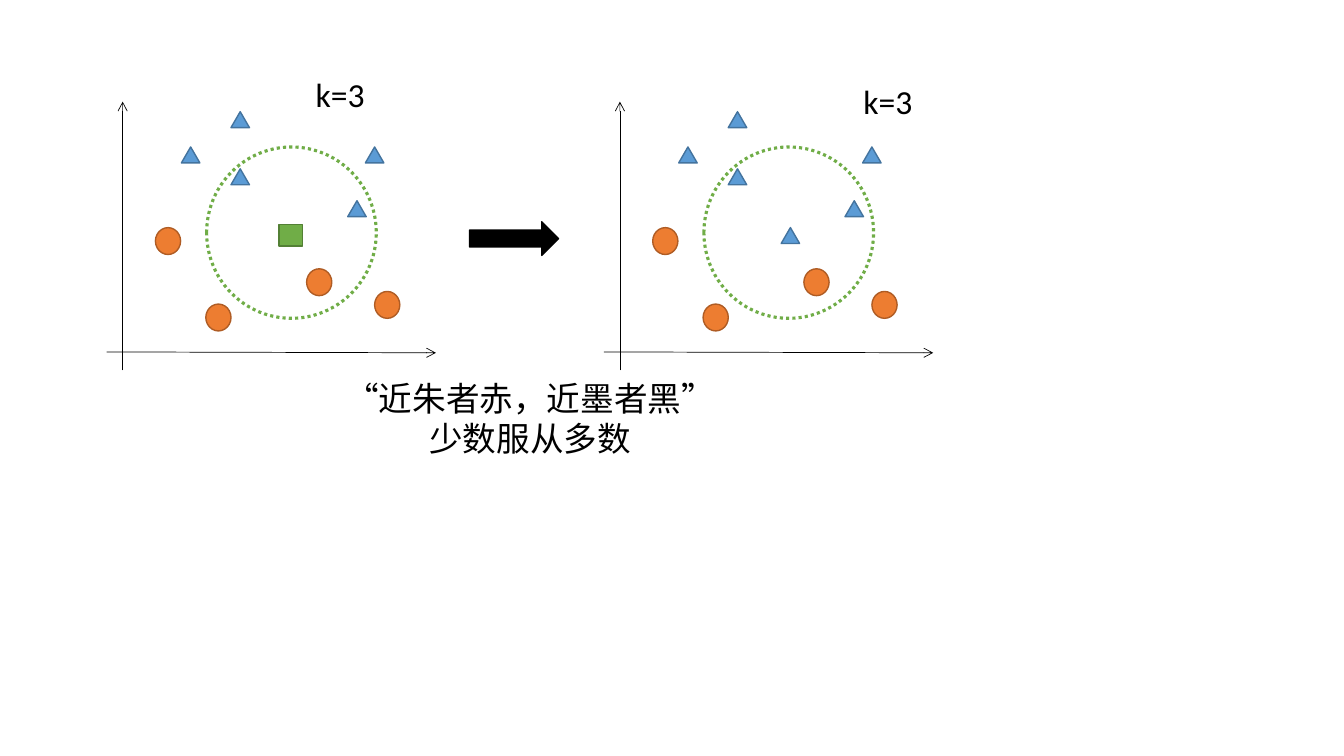
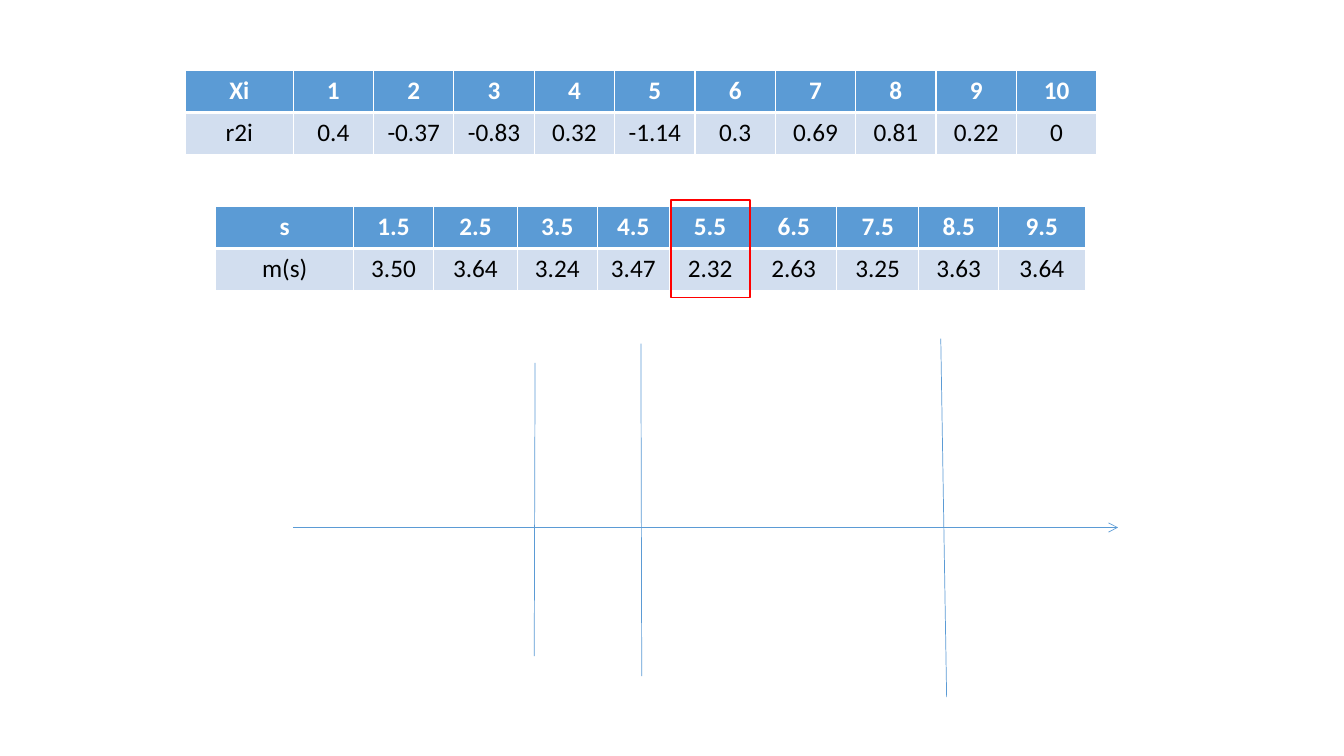
from typing import NamedTuple

from lxml import etree
from pptx import Presentation
from pptx import util as u
from pptx.dml.color import RGBColor
from pptx.enum import dml, shapes, text
from pptx.oxml import ns

# The slide is a grid of 160 columns and 90 rows; all lengths are in cells.
COLUMNS, ROWS = 160, 90
CELL = u.Inches(7.5) / ROWS

FONT = "Calibri"
WHITE, BLACK, RED = "FFFFFF", "000000", "FF0000"
BLUE, BLUE_EDGE, PALE_BLUE = "5B9BD5", "43739E", "D2DEEF"
ORANGE, ORANGE_EDGE = "ED7D31", "AF5C24"
GREEN, GREEN_EDGE = "70AD47", "538035"

PRESET = shapes.MSO_SHAPE


class Box(NamedTuple):
    left: float
    top: float
    width: float
    height: float


class Point(NamedTuple):
    x: float
    y: float


class Marker(NamedTuple):
    preset: shapes.MSO_SHAPE
    width: float
    height: float
    fill: str
    edge: str


class Segment(NamedTuple):
    start: Point
    end: Point


class Label(NamedTuple):
    box: Box
    lines: list[str]
    align: text.PP_ALIGN = text.PP_ALIGN.LEFT


class Grid(NamedTuple):
    origin: Point
    widths: list[float]
    rows: list[list[str]]


TRIANGLE = Marker(PRESET.ISOSCELES_TRIANGLE, 2.2, 1.9, BLUE, BLUE_EDGE)
CIRCLE = Marker(PRESET.OVAL, 3, 3.2, ORANGE, ORANGE_EDGE)
SQUARE = Marker(PRESET.RECTANGLE, 2.8, 2.6, GREEN, GREEN_EDGE)

# Positions inside a plot, from its top left corner.
NEIGHBOURHOOD = Box(11.9, 5.4, 20.2, 20.4)
PLOT_AXES = [
    Segment(Point(0, 29.8), Point(39.2, 29.9)),
    Segment(Point(1.9, 32), Point(1.9, 0)),
]
SAMPLES = {
    TRIANGLE: [Point(8.9, 5.4), Point(28.7, 11.8), Point(14.8, 1.2),
               Point(14.8, 8), Point(30.8, 5.4)],
    CIRCLE: [Point(5.8, 15), Point(11.8, 24.1), Point(23.8, 19.9),
             Point(31.9, 22.6)],
}

LABELS = [
    Label(Box(36.4, 8.2, 18.8, 6), ["k=3"]),
    Label(Box(101.6, 9.1, 18.8, 6), ["k=3"]),
    Label(Box(34.1, 44.4, 58, 10.9), ["“近朱者赤，近墨者黑”", "少数服从多数"],
          text.PP_ALIGN.CENTER),
]

ROW_HEIGHT = 5
SPLITS = Grid(
    Point(25.7, 24.6),
    [16.4, 9.5, 10, 9.5, 8.6, 9.7, 10.2, 9.8, 9.5, 10.3],
    [["s"] + [f"{i}.5" for i in range(1, 10)],
     ["m(s)", "3.50", "3.64", "3.24", "3.47", "2.32", "2.63", "3.25", "3.63", "3.64"]],
)
RESIDUALS = Grid(
    Point(22.1, 8.4),
    [12.8] + [9.57] * 10,
    [["Xi"] + [str(i) for i in range(1, 11)],
     ["r2i", "0.4", "-0.37", "-0.83", "0.32", "-1.14", "0.3", "0.69", "0.81",
      "0.22", "0"]],
)
BEST_SPLIT = Box(79.9, 23.8, 9.4, 11.6)
NUMBER_LINE = Segment(Point(34.9, 62.8), Point(133.1, 62.8))
CUTS = [
    Segment(Point(63.7, 43.2), Point(63.6, 78.1)),
    Segment(Point(76.3, 40.9), Point(76.4, 80.5)),
    Segment(Point(112, 40.3), Point(112.7, 83)),
]


def emu(cells: float) -> u.Emu:
    return u.Emu(round(cells * CELL))


def rgb(color: str) -> RGBColor:
    return RGBColor.from_string(color)


def shift(p: Point, origin: Point) -> Point:
    return Point(origin.x + p.x, origin.y + p.y)


def add_shape(slide, preset, box: Box, fill: str | None, edge: str, weight: float = 1):
    sp = slide.shapes.add_shape(preset, *map(emu, box))
    sp.shadow.inherit = False
    if fill:
        sp.fill.solid()
        sp.fill.fore_color.rgb = rgb(fill)
    else:
        sp.fill.background()
    sp.line.color.rgb = rgb(edge)
    sp.line.width = u.Pt(weight)
    return sp


def add_marker(slide, marker: Marker, at: Point) -> None:
    add_shape(slide, marker.preset, Box(*at, marker.width, marker.height),
              marker.fill, marker.edge)


def add_line(slide, segment: Segment, color: str, arrow: bool = False) -> None:
    cx = slide.shapes.add_connector(
        shapes.MSO_CONNECTOR.STRAIGHT, *map(emu, segment.start + segment.end))
    cx.line.color.rgb = rgb(color)
    cx.line.width = u.Pt(0.5)
    if arrow:
        etree.SubElement(cx.line._get_or_add_ln(), ns.qn("a:tailEnd"), type="arrow")
    etree.SubElement(cx._element.spPr, ns.qn("a:effectLst"))


def add_run(p, words: str, size: float, color: str, bold: bool = False) -> None:
    r = p.add_run()
    r.text = words
    r.font.name = FONT
    r.font.size = u.Pt(size)
    r.font.bold = bold
    r.font.color.rgb = rgb(color)


def add_label(slide, label: Label) -> None:
    tf = slide.shapes.add_textbox(*map(emu, label.box)).text_frame
    tf.word_wrap = True
    tf.auto_size = text.MSO_AUTO_SIZE.SHAPE_TO_FIT_TEXT
    for i, line in enumerate(label.lines):
        p = tf.add_paragraph() if i else tf.paragraphs[0]
        p.alignment = label.align
        add_run(p, line, 24, BLACK)


def add_borders(cell, header: bool) -> None:
    """White cell edges, thicker between the header and the body."""
    thick = "B" if header else "T"
    tc_pr = cell._tc.get_or_add_tcPr()
    for side in "LRTB":
        width = u.Pt(3 if side == thick else 1)
        ln = etree.SubElement(tc_pr, ns.qn(f"a:ln{side}"), w=str(width))
        fill = etree.SubElement(ln, ns.qn("a:solidFill"))
        etree.SubElement(fill, ns.qn("a:srgbClr"), val=WHITE)


def add_grid(slide, grid: Grid) -> None:
    box = Box(*grid.origin, sum(grid.widths), ROW_HEIGHT * len(grid.rows))
    table = slide.shapes.add_table(
        len(grid.rows), len(grid.widths), *map(emu, box)).table
    table.horz_banding = False
    for column, width in zip(table.columns, grid.widths):
        column.width = emu(width)
    for i, row in enumerate(grid.rows):
        header = i == 0
        for j, words in enumerate(row):
            cell = table.cell(i, j)
            add_borders(cell, header)
            cell.fill.solid()
            cell.fill.fore_color.rgb = rgb(BLUE if header else PALE_BLUE)
            p = cell.text_frame.paragraphs[0]
            p.alignment = text.PP_ALIGN.CENTER
            add_run(p, words, 18, WHITE if header else BLACK, header)


def add_plot(slide, origin: Point, query: Marker, query_at: Point) -> None:
    """Scatter of both classes, with the query point inside its neighbourhood."""
    left, top, width, height = NEIGHBOURHOOD
    ring = add_shape(slide, PRESET.OVAL,
                     Box(*shift(Point(left, top), origin), width, height),
                     WHITE, GREEN, 2.25)
    ring.line.dash_style = dml.MSO_LINE.ROUND_DOT
    for axis in PLOT_AXES:
        add_line(slide, Segment(*(shift(end, origin) for end in axis)), BLACK, arrow=True)
    for marker, points in SAMPLES.items():
        for point in points:
            add_marker(slide, marker, shift(point, origin))
    add_marker(slide, query, shift(query_at, origin))


def build_neighbours(slide) -> None:
    add_plot(slide, Point(12.7, 12.1), SQUARE, Point(20.5, 14.6))
    add_plot(slide, Point(71.9, 12.1), TRIANGLE, Point(21.1, 15))
    add_shape(slide, PRESET.RIGHT_ARROW, Box(55.9, 26.4, 10.6, 4), BLACK, BLACK)
    for label in LABELS:
        add_label(slide, label)


def build_splits(slide) -> None:
    add_grid(slide, SPLITS)
    add_grid(slide, RESIDUALS)
    add_shape(slide, PRESET.RECTANGLE, BEST_SPLIT, None, RED)
    add_line(slide, NUMBER_LINE, BLUE, arrow=True)
    for cut in CUTS:
        add_line(slide, cut, BLUE)


def main() -> None:
    prs = Presentation()
    prs.slide_width, prs.slide_height = emu(COLUMNS), emu(ROWS)
    blank = prs.slide_layouts[6]
    for build in (build_neighbours, build_splits):
        build(prs.slides.add_slide(blank))
    prs.save("out.pptx")


if __name__ == "__main__":
    main()
